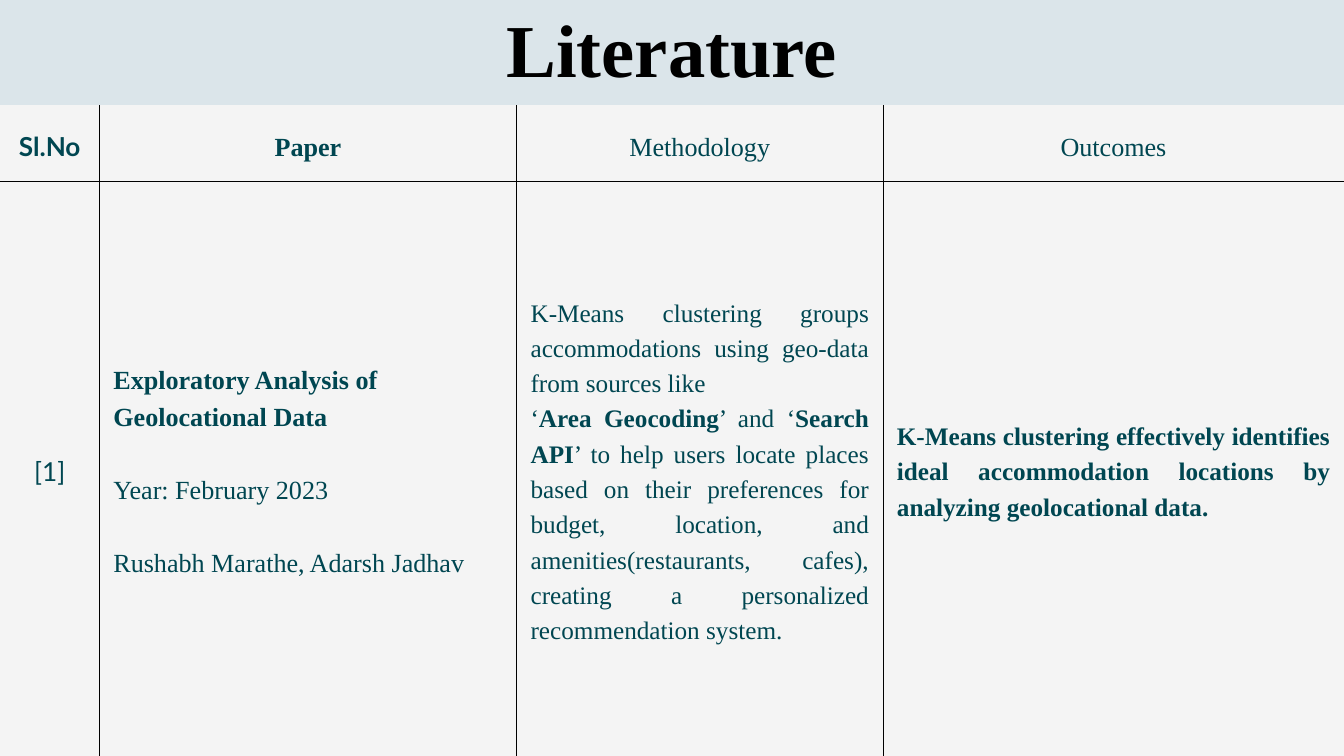
from lxml import etree
from pptx import Presentation
from pptx.dml.color import RGBColor
from pptx.enum import text
from pptx.oxml import ns
from pptx.util import Pt

THEME = {
    "background": "DBE5EA", "cell": "F4F4F4", "ink": "004651",
    "title_ink": "000000", "border": "000000", "border_width": 0.75,
    "serif": "Times New Roman", "sans": "Lato",
    "title_size": 80, "label_size": 28, "body_size": 27,
    "leading": 1.4, "inset": 15,
}
SLIDE = (1440, 810)
TITLE = "Literature"
TITLE_BOX = (443, -13, 553.7, 108.7)
TABLE_TOP = 113
COLUMNS = (106.5, 447, 392.5, 494)
ROWS = (81.4, 615.6)

LEFT, CENTER, JUSTIFY = (text.PP_ALIGN.LEFT, text.PP_ALIGN.CENTER,
                         text.PP_ALIGN.JUSTIFY)
# Cell: (font, size, alignment, lines of space between paragraphs, paragraphs)
# Paragraph: list of (words, bold)
CELLS = [
    [
        ("sans", "label_size", CENTER, 0, [[("Sl.No", True)]]),
        ("serif", "label_size", CENTER, 0, [[("Paper", True)]]),
        ("serif", "label_size", CENTER, 0, [[("Methodology", False)]]),
        ("serif", "label_size", CENTER, 0, [[("Outcomes", False)]]),
    ],
    [
        ("sans", "label_size", CENTER, 0, [[("[1]", False)]]),
        ("serif", "label_size", LEFT, 1, [
            [("Exploratory Analysis of Geolocational Data", True)],
            [("Year: February 2023", False)],
            [("Rushabh Marathe, Adarsh Jadhav", False)],
        ]),
        ("serif", "body_size", JUSTIFY, 0, [
            [("K-Means clustering groups accommodations using geo-data "
              "from sources like", False)],
            [("‘", False), ("Area Geocoding", True), ("’ and ‘", False),
             ("Search API", True),
             ("’ to help users locate places based on their preferences for "
              "budget, location, and amenities(restaurants, cafes), creating "
              "a personalized recommendation system.", False)],
        ]),
        ("serif", "body_size", JUSTIFY, 0, [
            [("K-Means clustering effectively identifies ideal accommodation "
              "locations by analyzing geolocational data.", True)],
        ]),
    ],
]


def color(name):
    return RGBColor.from_string(THEME[name])


def write(frame, paragraphs, font, size, ink, alignment, gap=0):
    """Fill a text frame; gap is the space between paragraphs, in lines."""
    points = THEME[size]
    leading = points * THEME["leading"]
    for index, spans in enumerate(paragraphs):
        para = frame.add_paragraph() if index else frame.paragraphs[0]
        para.alignment = alignment
        para.line_spacing = Pt(leading)
        if index and gap:
            para.space_before = Pt(gap * leading)
        for words, bold in spans:
            span = para.add_run()
            span.text = words
            span.font.name = THEME[font]
            span.font.size = Pt(points)
            span.font.bold = bold
            span.font.color.rgb = color(ink)


def add_borders(cell, visible):
    """Draw the sides named in visible (L, R, T, B) and clear the others."""
    properties = cell._tc.get_or_add_tcPr()
    for side in "LRTB":
        line = etree.SubElement(properties, ns.qn(f"a:ln{side}"),
                                w=str(Pt(THEME["border_width"])))
        if side in visible:
            fill = etree.SubElement(line, ns.qn("a:solidFill"))
            etree.SubElement(fill, ns.qn("a:srgbClr"), val=THEME["border"])
        else:
            etree.SubElement(line, ns.qn("a:noFill"))


def add_title(page):
    box = page.shapes.add_textbox(*map(Pt, TITLE_BOX))
    frame = box.text_frame
    frame.word_wrap = True
    frame.margin_left = frame.margin_right = 0
    frame.margin_top = frame.margin_bottom = 0
    write(frame, [[(TITLE, True)]], "serif", "title_size", "title_ink", CENTER)


def add_literature_table(page):
    table = page.shapes.add_table(
        len(ROWS), len(COLUMNS), 0, Pt(TABLE_TOP),
        Pt(sum(COLUMNS)), Pt(sum(ROWS))).table
    table.first_row = table.horz_banding = False
    for column, width in zip(table.columns, COLUMNS):
        column.width = Pt(width)
    for row, height in zip(table.rows, ROWS):
        row.height = Pt(height)

    for r, row in enumerate(CELLS):
        for c, (font, size, alignment, gap, paragraphs) in enumerate(row):
            cell = table.cell(r, c)
            inner = {"L": c > 0, "R": c < len(COLUMNS) - 1,
                     "T": r > 0, "B": r < len(ROWS) - 1}
            add_borders(cell, [side for side in inner if inner[side]])
            cell.fill.solid()
            cell.fill.fore_color.rgb = color("cell")
            cell.vertical_anchor = text.MSO_ANCHOR.MIDDLE
            cell.margin_left = cell.margin_right = Pt(THEME["inset"])
            cell.margin_top = cell.margin_bottom = Pt(THEME["inset"])
            write(cell.text_frame, paragraphs, font, size, "ink",
                  alignment, gap)


def main():
    deck = Presentation()
    deck.slide_width, deck.slide_height = map(Pt, SLIDE)
    page = deck.slides.add_slide(deck.slide_layouts[6])
    page.background.fill.solid()
    page.background.fill.fore_color.rgb = color("background")
    add_title(page)
    add_literature_table(page)
    deck.save("out.pptx")


if __name__ == "__main__":
    main()
